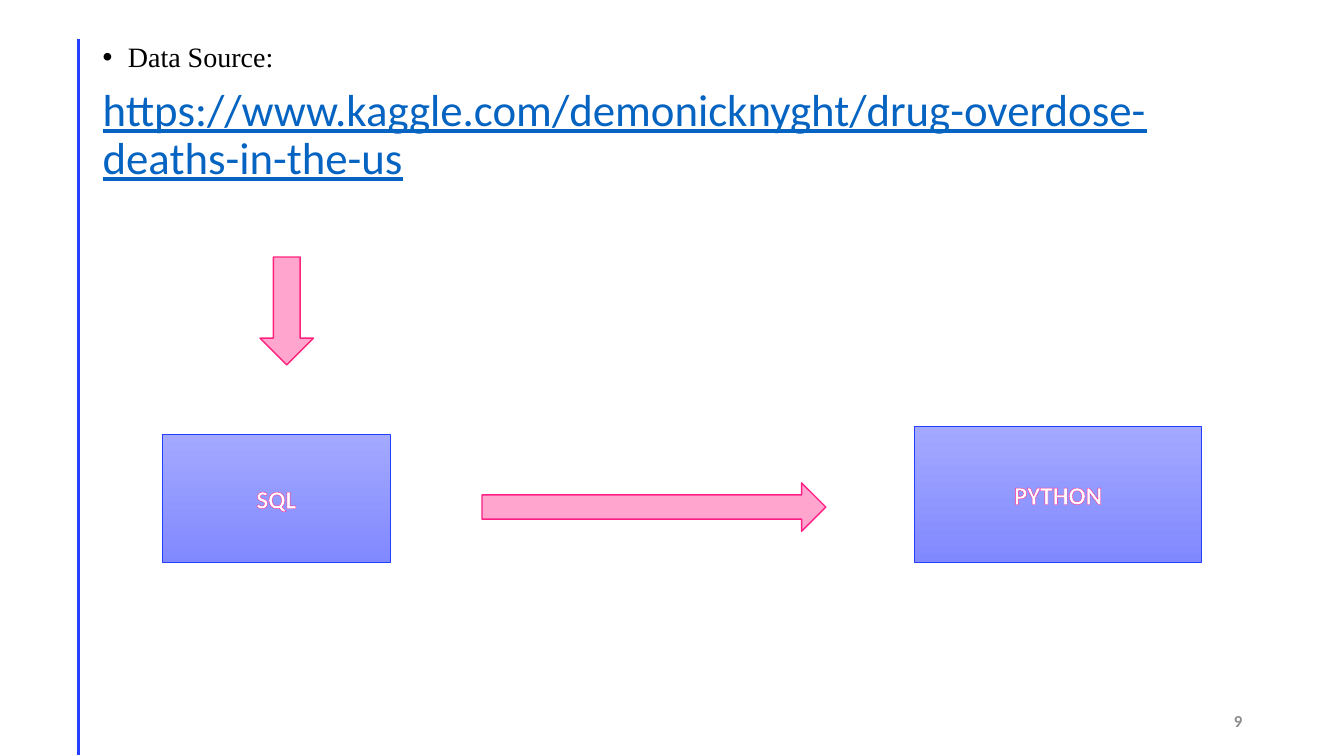
import pptx
import pptx.util
import pptx.dml.color
import pptx.enum.shapes
import pptx.enum.text
import lxml.etree

SHAPE = pptx.enum.shapes.MSO_SHAPE
ALIGN = pptx.enum.text.PP_ALIGN
MIDDLE = pptx.enum.text.MSO_ANCHOR.MIDDLE
NS = "http://schemas.openxmlformats.org/drawingml/2006/main"
rgb = pptx.dml.color.RGBColor.from_string

deck = pptx.Presentation()
deck.slide_width = pptx.util.Inches(13.33)
deck.slide_height = pptx.util.Inches(7.5)
slide = deck.slides.add_slide(deck.slide_layouts[6])


def grid(left, top, width, height):
    """Turn percentages of the slide's width and height into lengths."""
    column, row = deck.slide_width / 100, deck.slide_height / 100
    return int(left * column), int(top * row), int(width * column), int(height * row)


def style(paragraph, size, color, name="Calibri", bold=False):
    font = paragraph.font
    font.size, font.name, font.bold = pptx.util.Pt(size), name, bold
    font.color.rgb = rgb(color)


# Vertical rule at the left margin
rule = slide.shapes.add_connector(
    pptx.enum.shapes.MSO_CONNECTOR.STRAIGHT, *grid(5.85, 5.2, 5.85, 99.87))
rule.line.color.rgb = rgb("243FFF")
rule.line.width = pptx.util.Pt(2)
lxml.etree.SubElement(rule._element.spPr, f"{{{NS}}}effectLst")

# Data source and its address
source = slide.shapes.add_textbox(*grid(6.9, 5.07, 86.27, 85.07)).text_frame
source.word_wrap = True
heading = source.paragraphs[0]
heading.text = "Data Source:"
heading.line_spacing = 0.9
heading_props = heading._p.get_or_add_pPr()
heading_props.set("marL", str(pptx.util.Inches(0.25)))
heading_props.set("indent", str(pptx.util.Inches(-0.25)))
lxml.etree.SubElement(heading_props, f"{{{NS}}}buFont", typeface="Arial")
lxml.etree.SubElement(heading_props, f"{{{NS}}}buChar", char="•")
style(heading, 20, "000000", "Times New Roman")

address = source.add_paragraph()
address.text = "https://www.kaggle.com/demonicknyght/drug-overdose-deaths-in-the-us"
address.line_spacing = 0.9
address.space_before = pptx.util.Pt(10)
style(address, 32, "0563C1")
address.font.underline = True

# Flow: source, then SQL, then Python
for preset, place, outline in (
    (SHAPE.DOWN_ARROW, (19.35, 34, 3.98, 14.27), "FF227D"),
    (SHAPE.RIGHT_ARROW, (35.86, 63.87, 25.58, 6.4), "FF1F85"),
):
    arrow = slide.shapes.add_shape(preset, *grid(*place))
    arrow.shadow.inherit = False
    arrow.fill.solid()
    arrow.fill.fore_color.rgb = rgb("FFA5CE")
    arrow.line.color.rgb = rgb(outline)
    arrow.line.width = pptx.util.Pt(1)

for tool, place in (
    ("SQL", (12.08, 57.47, 16.95, 16.93)),
    ("PYTHON", (68.04, 56.4, 21.38, 18)),
):
    step = slide.shapes.add_shape(SHAPE.RECTANGLE, *grid(*place))
    step.shadow.inherit = False
    step.fill.gradient()
    step.fill.gradient_angle = 270
    for stop, color in zip(step.fill.gradient_stops, ("A3A9FF", "8189FF")):
        stop.color.rgb = rgb(color)
    step.line.color.rgb = rgb("243FFF")
    step.line.width = pptx.util.Pt(0.5)
    step.text_frame.vertical_anchor = MIDDLE
    label = step.text_frame.paragraphs[0]
    label.text = tool
    label.alignment = ALIGN.CENTER
    style(label, 18, "FFFFFF", bold=True)
    edge = lxml.etree.Element(f"{{{NS}}}ln", w=str(pptx.util.Pt(0.8)))
    edge_fill = lxml.etree.SubElement(edge, f"{{{NS}}}solidFill")
    lxml.etree.SubElement(edge_fill, f"{{{NS}}}srgbClr", val="FF1F85")
    label.runs[0]._r.get_or_add_rPr().insert(0, edge)

# Slide number
footer = slide.shapes.add_textbox(*grid(70.67, 92.67, 22.5, 5.33)).text_frame
footer.word_wrap = True
footer.vertical_anchor = MIDDLE
number = footer.paragraphs[0]
number.text = "9"
number.alignment = ALIGN.RIGHT
style(number, 12, "8C8C8C", bold=True)
number.runs[0]._r.get_or_add_rPr().set("spc", "100")

deck.save("out.pptx")
